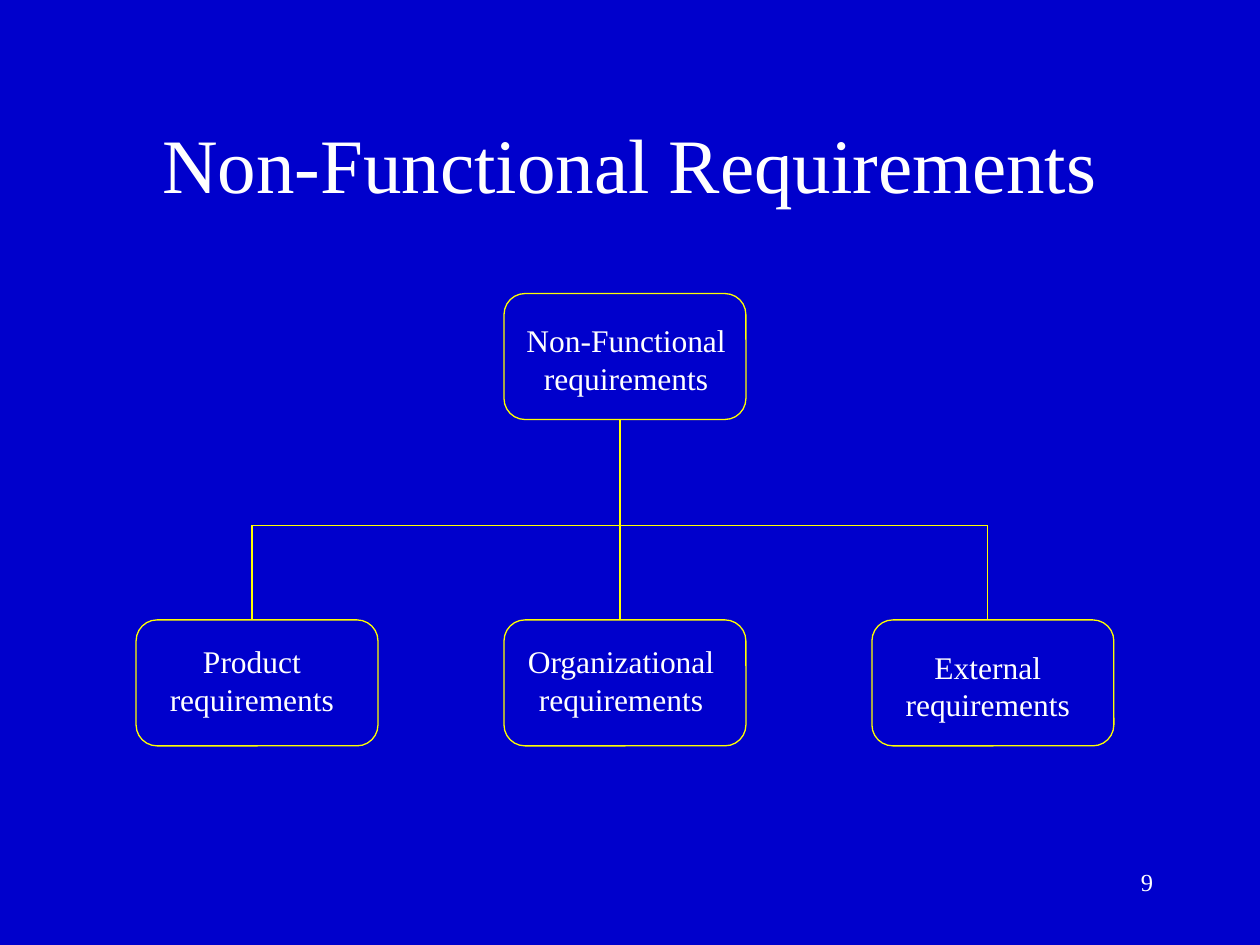
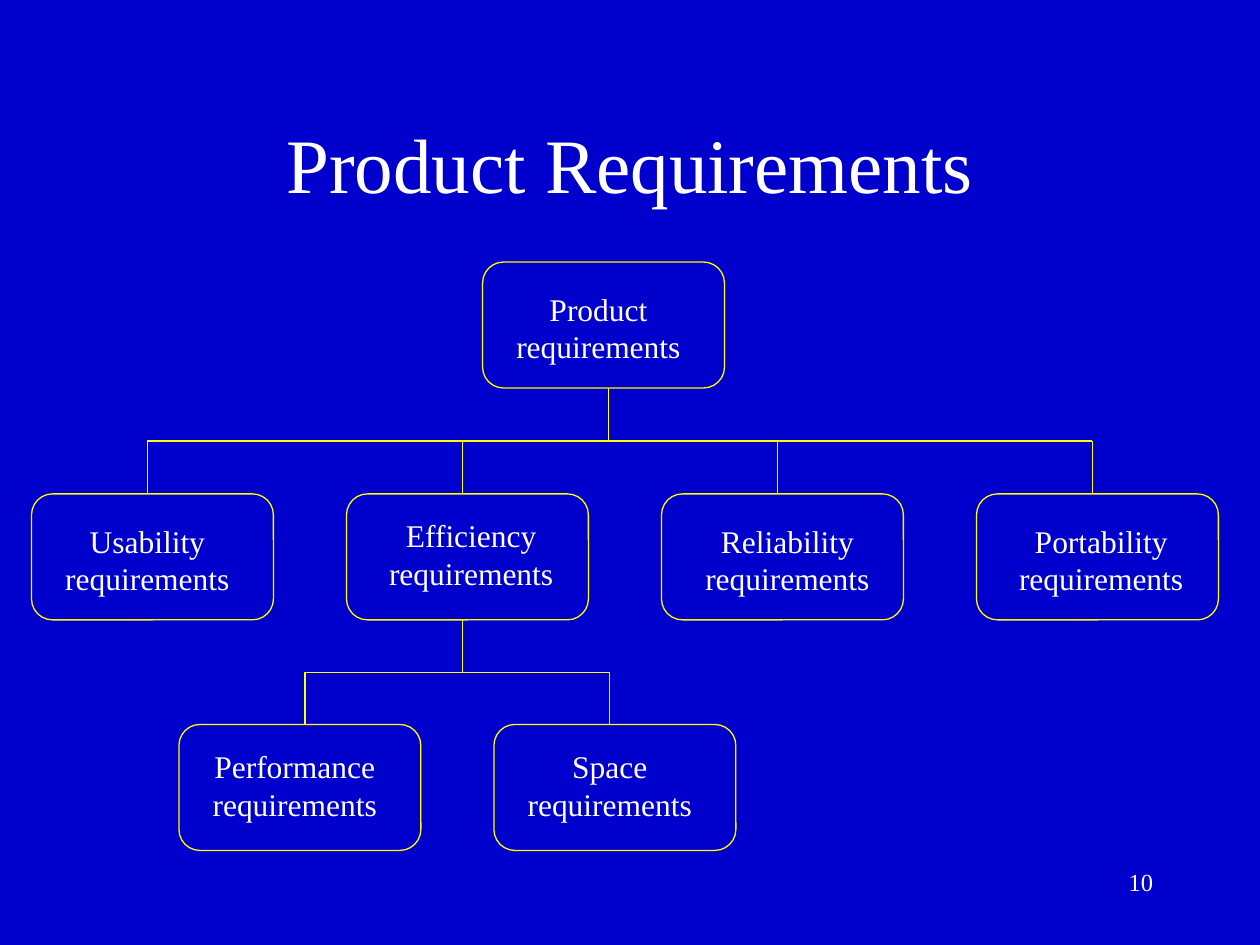
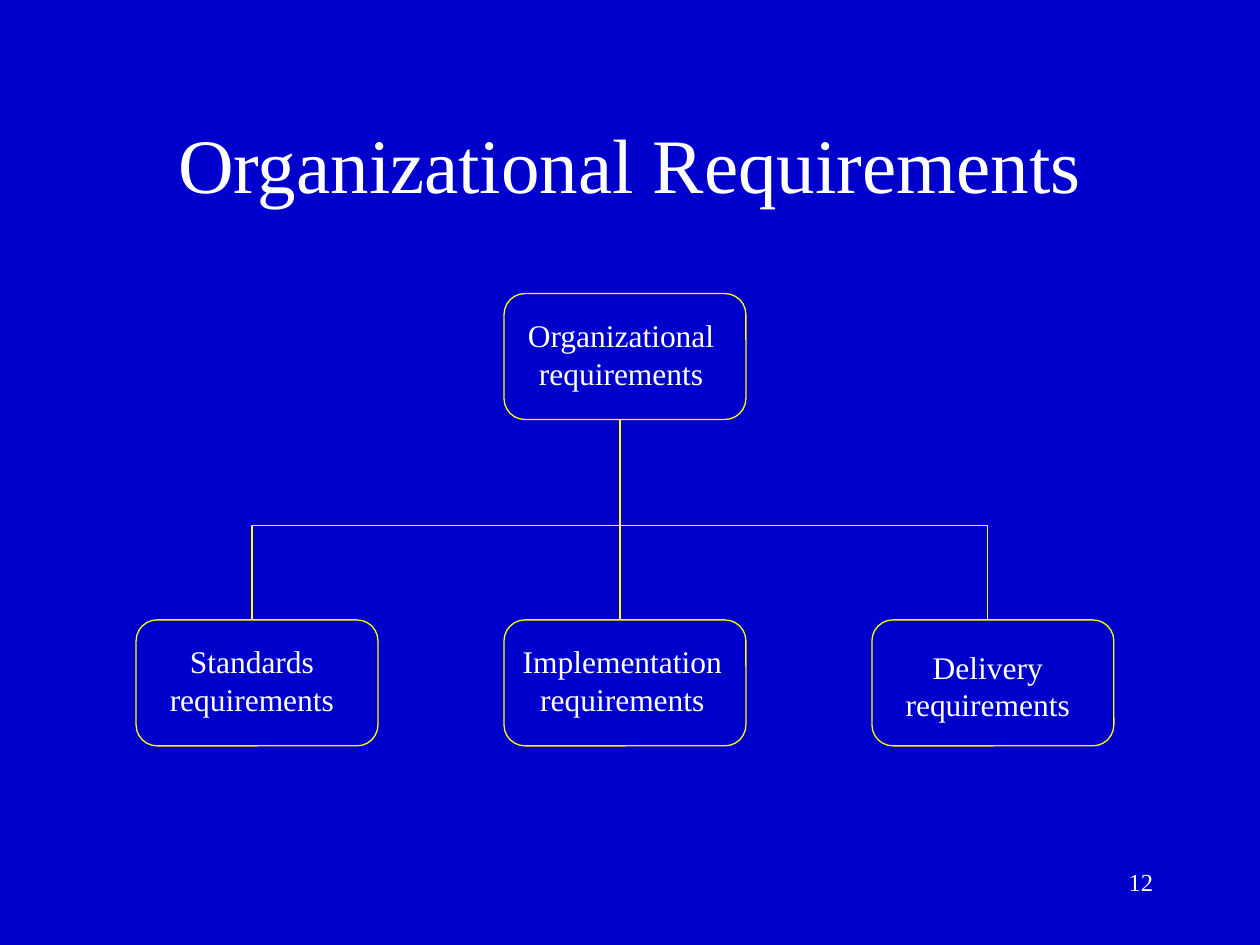
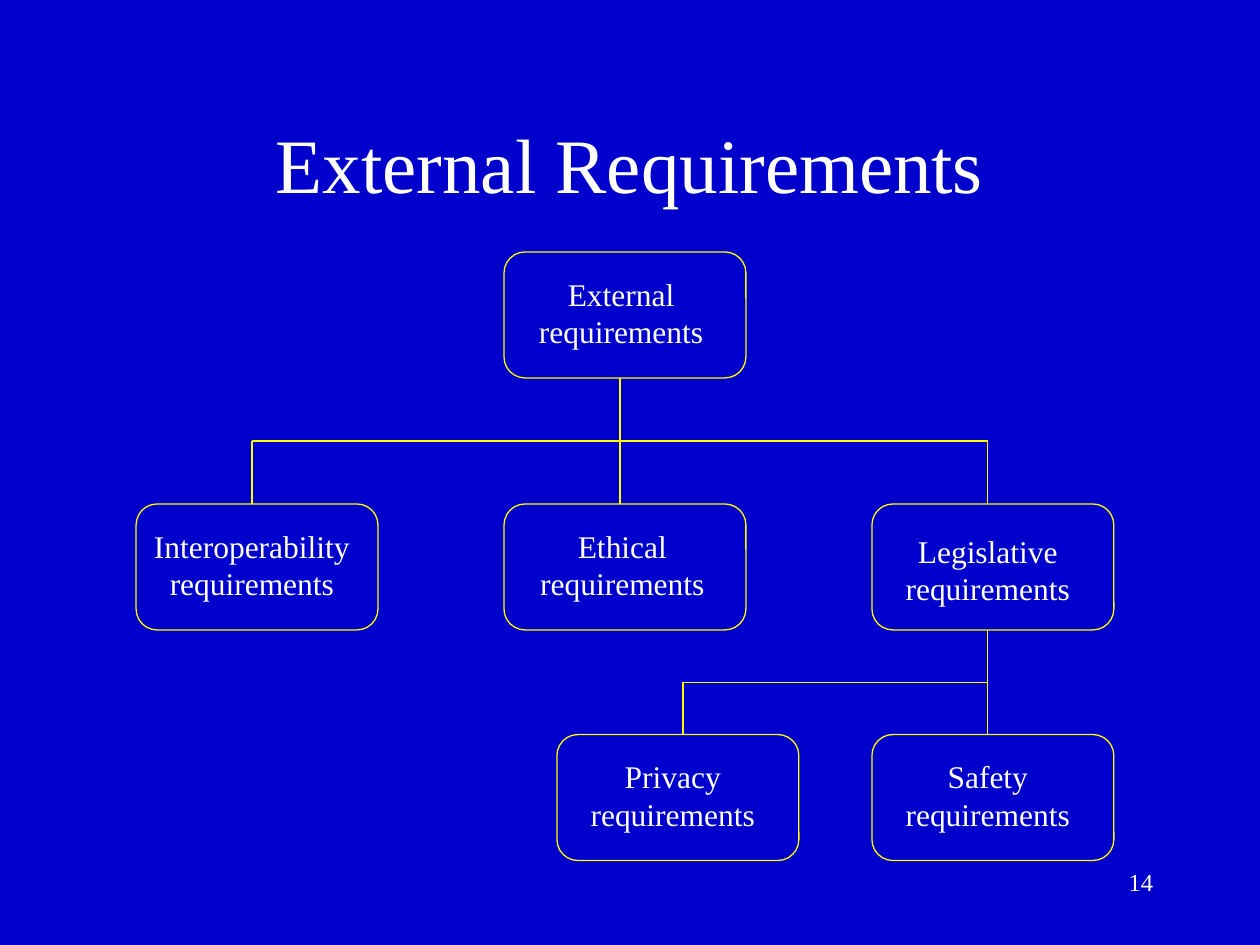
from dataclasses import dataclass

from lxml.etree import SubElement
from pptx import Presentation
from pptx.dml.color import RGBColor
from pptx.enum.shapes import MSO_CONNECTOR, MSO_SHAPE
from pptx.enum.text import MSO_ANCHOR, MSO_AUTO_SIZE, PP_ALIGN
from pptx.oxml.ns import qn
from pptx.util import Inches, Pt


@dataclass(frozen=True)
class Theme:
    background: RGBColor = RGBColor(0x00, 0x00, 0xCC)
    text: RGBColor = RGBColor(0xFF, 0xFF, 0xFF)
    line: RGBColor = RGBColor(0xFF, 0xFF, 0x00)
    font: str = "Times New Roman"
    title_size: int = 44
    label_size: int = 18
    number_size: int = 14
    line_width: float = 0.75


@dataclass(frozen=True)
class Box:
    left: float
    top: float
    width: float
    height: float

    def lengths(self):
        return [Inches(value) for value in (self.left, self.top, self.width, self.height)]


@dataclass(frozen=True)
class Node:
    """A tree node; label and port values are offsets from its box, in inches."""
    name: str
    label_center: float = 0.92
    label_top: float = 0.13
    label_width: float = 1.54
    port: float = 0.92


@dataclass(frozen=True)
class Row:
    """Evenly spaced nodes, joined to one node of the row above."""
    left: float
    top: float
    pitch: float
    nodes: tuple
    parent: int = 0
    bar: float | None = None
    straight_child: int | None = None


THEME = Theme()
TITLE_BOX = Box(0.75, 0.67, 8.5, 1.25)
NUMBER_BOX = Box(7.17, 6.83, 2.08, 0.5)
NODE_WIDTH, NODE_HEIGHT, LABEL_HEIGHT = 1.92, 1, 0.7
WIDE_PITCH, NARROW_PITCH = 2.92, 2.5
LOW = 0.17
WIDE_LABEL = 1.8


def write_lines(text_frame, lines, size, alignment):
    for index, line in enumerate(lines):
        paragraph = text_frame.add_paragraph() if index else text_frame.paragraphs[0]
        paragraph.alignment = alignment
        run = paragraph.add_run()
        run.text = line
        run.font.name = THEME.font
        run.font.size = Pt(size)
        run.font.color.rgb = THEME.text


def add_title(slide, box, text):
    title = slide.shapes.title
    title.left, title.top, title.width, title.height = box.lengths()
    title.text_frame.vertical_anchor = MSO_ANCHOR.MIDDLE
    write_lines(title.text_frame, [text], THEME.title_size, PP_ALIGN.CENTER)


def add_slide_number(slide, box, number):
    text_frame = slide.shapes.add_textbox(*box.lengths()).text_frame
    text_frame.word_wrap = True
    write_lines(text_frame, [str(number)], THEME.number_size, PP_ALIGN.RIGHT)


def style_line(shape):
    shape.line.color.rgb = THEME.line
    shape.line.width = Pt(THEME.line_width)


def add_line(slide, start, end):
    points = [Inches(value) for value in (*start, *end)]
    connector = slide.shapes.add_connector(MSO_CONNECTOR.STRAIGHT, *points)
    style_line(connector)
    SubElement(connector._element.spPr, qn("a:effectLst"))


def add_node(slide, box, node):
    outline = slide.shapes.add_shape(MSO_SHAPE.ROUNDED_RECTANGLE, *box.lengths())
    outline.shadow.inherit = False
    outline.fill.background()
    style_line(outline)

    label_box = Box(box.left + node.label_center - node.label_width / 2,
                    box.top + node.label_top, node.label_width, LABEL_HEIGHT)
    text_frame = slide.shapes.add_textbox(*label_box.lengths()).text_frame
    text_frame.word_wrap = False
    text_frame.auto_size = MSO_AUTO_SIZE.SHAPE_TO_FIT_TEXT
    write_lines(text_frame, [node.name, "requirements"], THEME.label_size, PP_ALIGN.CENTER)


def add_branches(slide, parent_port, child_ports, bar_top, straight_child):
    """Join a parent to its children by a bar; a straight child gets one unbroken line."""
    trunk, parent_bottom = parent_port
    for index, (port, child_top) in enumerate(child_ports):
        line_top = parent_bottom if index == straight_child else bar_top
        add_line(slide, (port, line_top), (port, child_top))
    if straight_child is None:
        add_line(slide, parent_port, (trunk, bar_top))
    add_line(slide, (child_ports[0][0], bar_top), (child_ports[-1][0], bar_top))


def add_tree(slide, origin, rows):
    """Place rows relative to the origin, the left and top of the tree."""
    origin_left, origin_top = origin
    ports_above = []
    for row in rows:
        top = origin_top + row.top
        ports = []
        for index, node in enumerate(row.nodes):
            left = origin_left + row.left + index * row.pitch
            add_node(slide, Box(left, top, NODE_WIDTH, NODE_HEIGHT), node)
            ports.append((left + node.port, top))
        if ports_above:
            port, parent_top = ports_above[row.parent]
            parent_bottom = parent_top + NODE_HEIGHT
            bar_top = (parent_bottom + top) / 2 if row.bar is None else origin_top + row.bar
            add_branches(slide, (port, parent_bottom), ports, bar_top, row.straight_child)
        ports_above = ports


def three_way_rows(root, children):
    return (
        Row(WIDE_PITCH, 0, 0, (root,)),
        Row(0, 2.59, WIDE_PITCH, children, bar=1.84, straight_child=1),
    )


def add_tree_slide(presentation, title, number, origin, rows):
    slide = presentation.slides.add_slide(presentation.slide_layouts.get_by_name("Title Only"))
    add_title(slide, TITLE_BOX, title)
    add_tree(slide, origin, rows)
    add_slide_number(slide, NUMBER_BOX, number)


SLIDES = (
    ("Non-Functional Requirements", 9, (1.08, 2.33), three_way_rows(
        Node("Non-Functional", 0.97, LOW, WIDE_LABEL),
        (Node("Product"), Node("Organizational", 0.93, label_width=WIDE_LABEL),
         Node("External", label_top=LOW)),
    )),
    ("Product Requirements", 10, (0.25, 2.08), (
        Row(3.58, 0, 0, (Node("Product", label_top=LOW, port=1),)),
        Row(0, 1.84, NARROW_PITCH, (
            Node("Usability", label_top=LOW),
            Node("Efficiency", 0.99),
            Node("Reliability", 1, LOW),
            Node("Portability", 0.99, LOW),
        )),
        Row(1.17, 3.67, NARROW_PITCH, (Node("Performance", port=1), Node("Space")), parent=1),
    )),
    ("Organizational Requirements", 12, (1.08, 2.33), three_way_rows(
        Node("Organizational", 0.93, label_width=WIDE_LABEL),
        (Node("Standards"), Node("Implementation", 0.94, label_width=WIDE_LABEL),
         Node("Delivery", label_top=LOW)),
    )),
    ("External Requirements", 14, (1.08, 2), (
        Row(WIDE_PITCH, 0, 0, (Node("External", 0.93),)),
        Row(0, 2, WIDE_PITCH, (
            Node("Interoperability", label_width=WIDE_LABEL),
            Node("Ethical", 0.94),
            Node("Legislative", label_top=LOW),
        )),
        Row(3.34, 3.83, NARROW_PITCH, (Node("Privacy", port=1), Node("Safety")), parent=2),
    )),
)


def main():
    presentation = Presentation()
    presentation.slide_width = Inches(10)
    presentation.slide_height = Inches(7.5)
    background = presentation.slide_master.background.fill
    background.solid()
    background.fore_color.rgb = THEME.background
    for slide_content in SLIDES:
        add_tree_slide(presentation, *slide_content)
    presentation.save("out.pptx")


if __name__ == "__main__":
    main()
